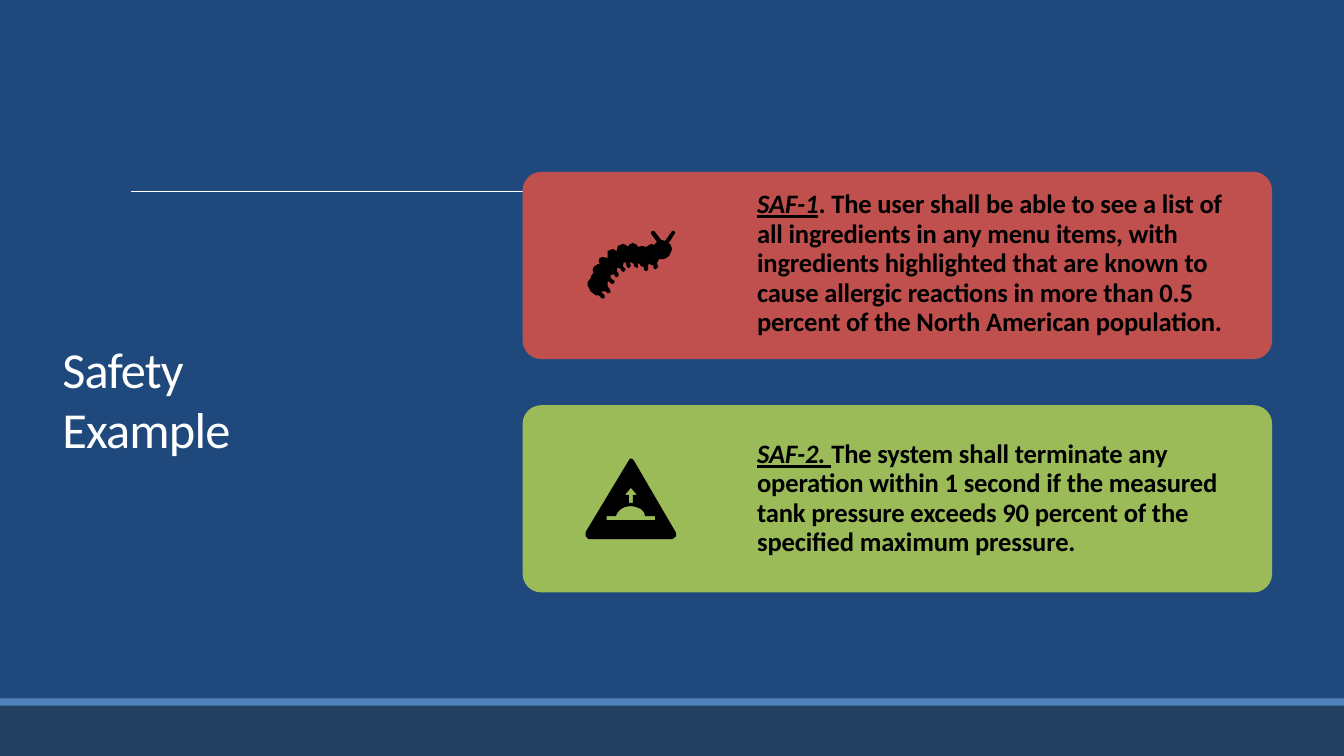
from pptx import Presentation
from pptx.dml.color import RGBColor
from pptx.enum.shapes import MSO_CONNECTOR as CONNECTOR, MSO_SHAPE as SHAPE
from pptx.enum.text import MSO_ANCHOR as ANCHOR, MSO_AUTO_SIZE as AUTO_SIZE, PP_ALIGN as ALIGN
from pptx.oxml.ns import qn
from pptx.util import Cm, Pt
from lxml.etree import SubElement

NAVY = RGBColor(0x1F, 0x48, 0x7C)
SLATE = RGBColor(0x24, 0x40, 0x60)
BLUE = RGBColor(0x4F, 0x81, 0xBC)
RED = RGBColor(0xC0, 0x50, 0x4D)
GREEN = RGBColor(0x9B, 0xBA, 0x58)
WHITE = RGBColor(0xFF, 0xFF, 0xFF)
BLACK = RGBColor(0, 0, 0)

ICON_UNIT = Cm(2.54) / 100
CATERPILLAR = [[
    (583, 280), (586, 276), (587, 273), (589, 271), (588, 268), (589, 265), (593, 262), (595, 262),
    (594, 259), (595, 256), (598, 255), (603, 256), (603, 249), (608, 247), (612, 249), (613, 244),
    (618, 242), (621, 243), (623, 245), (624, 243), (628, 241), (632, 243), (633, 245), (637, 244),
    (641, 245), (646, 242), (649, 243), (652, 240), (646, 232), (646, 230), (648, 229), (649, 229),
    (656, 238), (660, 239), (667, 229), (669, 229), (670, 231), (665, 239), (663, 241), (665, 242),
    (667, 247), (664, 254), (659, 257), (654, 257), (652, 261), (653, 265), (651, 267), (649, 267),
    (648, 263), (646, 263), (644, 261), (643, 264), (643, 268), (641, 269), (639, 268), (639, 265),
    (636, 264), (634, 261), (633, 262), (633, 265), (632, 266), (629, 264), (629, 262), (626, 260),
    (625, 260), (626, 264), (624, 266), (622, 265), (621, 261), (619, 260), (618, 264), (621, 267),
    (619, 270), (617, 269), (615, 266), (612, 266), (612, 269), (614, 272), (613, 275), (611, 275),
    (609, 272), (606, 273), (606, 276), (609, 278), (610, 280), (608, 282), (606, 281), (604, 279),
    (603, 280), (603, 284), (605, 287), (606, 290), (603, 291), (601, 289), (597, 289), (597, 290),
    (600, 293), (600, 296), (597, 296), (594, 293), (591, 293), (586, 289), (583, 283),
]]
BUMP_SIGN = [
    [(625, 455), (581, 528), (581, 532), (584, 535), (667, 535), (671, 532), (671, 529), (629, 457),
     (627, 455)],
    [(602, 516), (602, 512), (611, 512), (613, 508), (616, 505), (620, 503), (626, 502), (631, 503),
     (636, 505), (639, 508), (640, 512), (650, 512), (650, 516)],
    [(620, 491), (626, 484), (632, 491), (628, 491), (628, 499), (624, 499), (624, 491)],
]


def paint(shape, color):
    shape.shadow.inherit = False
    shape.fill.solid()
    shape.fill.fore_color.rgb = color
    shape.line.fill.background()


def add_run(paragraph, text, size, color, spacing, bold=False, marked=False):
    run = paragraph.add_run()
    run.text = text
    font = run.font
    font.name, font.size, font.bold = "Calibri", Pt(size), bold
    font.italic = font.underline = marked
    font.color.rgb = color
    run._r.get_or_add_rPr().set("spc", str(spacing))


deck = Presentation()
deck.slide_width, deck.slide_height = Cm(33.87), Cm(19.05)
slide = deck.slides.add_slide(deck.slide_layouts[3])
shapes = slide.shapes
heading, first_rule, second_rule = slide.placeholders

slide.background.fill.solid()
slide.background.fill.fore_color.rgb = NAVY
for top, height, color in [(17.78, 1.27, SLATE), (17.6, 0.18, BLUE)]:
    footer_band = shapes.add_shape(SHAPE.RECTANGLE, 0, Cm(top), deck.slide_width, Cm(height))
    paint(footer_band, color)

divider = shapes.add_connector(CONNECTOR.STRAIGHT, Cm(3.3), Cm(4.82), Cm(31), Cm(4.82))
divider.line.color.rgb = WHITE
divider.line.width = Pt(0.5)
SubElement(divider._element.spPr, qn("a:effectLst"))

for top, color, icon in [(4.33, RED, CATERPILLAR), (10.21, GREEN, BUMP_SIGN)]:
    card = shapes.add_shape(SHAPE.ROUNDED_RECTANGLE, Cm(13.17), Cm(top), Cm(18.89), Cm(4.72))
    card.adjustments[0] = 0.1
    paint(card, color)
    outline = shapes.build_freeform(*icon[0][0], scale=ICON_UNIT)
    outline.add_line_segments(icon[0][1:])
    for hole in icon[1:]:
        outline.move_to(*hole[0])
        outline.add_line_segments(hole[1:])
    paint(outline.convert_to_shape(), BLACK)

contents = [
    (heading, (1.57, 8.48, 7.54, 3.2), 0.03, 1.0, 1,
     dict(size=36, color=WHITE, spacing=-60), [("Safety Example", False)]),
    (first_rule, (19.08, 4.7, 12, 3.81), 0.1, 0.92, 2.9,
     dict(size=19, color=BLACK, spacing=-10, bold=True),
     [("SAF-1", True),
      (". The user shall be able to see a list of all ingredients in any menu items, with "
       "ingredients highlighted that are known to cause allergic reactions in more than 0.5 "
       "percent of the North American population.", False)]),
    (second_rule, (19.08, 10.95, 11.86, 3.07), 0.13, Pt(20.9), 3.2,
     dict(size=19, color=BLACK, spacing=-10, bold=True),
     [("SAF-2. ", True),
      ("The system shall terminate any operation within 1 second if the measured tank pressure "
       "exceeds 90 percent of the specified maximum pressure.", False)]),
]
for holder, box, inset, line_spacing, space_before, style, parts in contents:
    holder.left, holder.top, holder.width, holder.height = map(Cm, box)
    shapes.element.append(holder.element)
    frame = holder.text_frame
    frame.word_wrap = True
    frame.auto_size = AUTO_SIZE.NONE
    frame.vertical_anchor = ANCHOR.TOP
    frame.margin_left = frame.margin_right = frame.margin_bottom = 0
    frame.margin_top = Cm(inset)
    paragraph = frame.paragraphs[0]
    paragraph.alignment = ALIGN.LEFT
    paragraph.line_spacing = line_spacing
    paragraph.space_before = Pt(space_before)
    properties = paragraph._p.get_or_add_pPr()
    properties.set("marL", "0")
    properties.set("indent", "0")
    SubElement(properties, qn("a:buNone"))
    for text, marked in parts:
        add_run(paragraph, text, marked=marked, **style)

deck.save("out.pptx")
